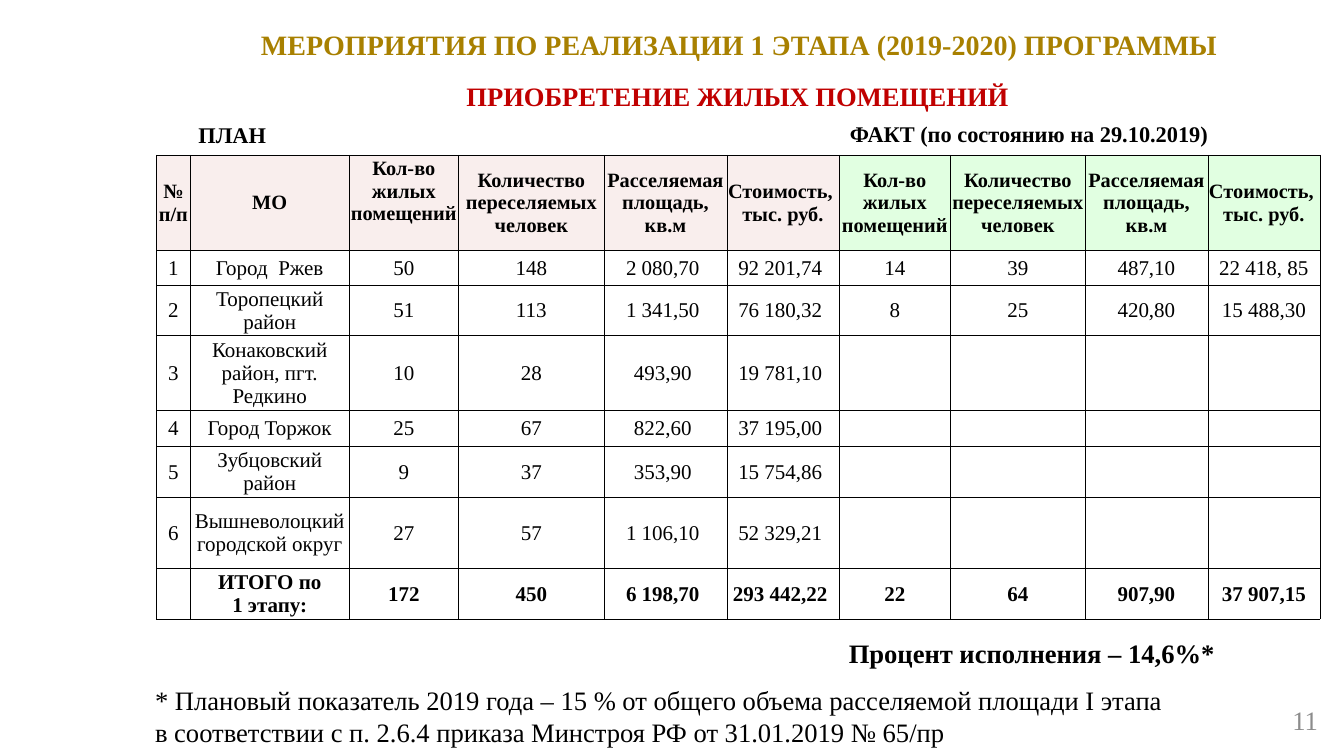
from dataclasses import dataclass

from lxml import etree
from pptx import Presentation
from pptx import util as u
from pptx.dml.color import RGBColor
from pptx.enum import text as t
from pptx.oxml import ns

WIDE, HIGH = 13.33, 7.5
FONT = "Times New Roman"
GOLD = RGBColor(0xA8, 0x80, 0x00)
RED = RGBColor(0xC0, 0x00, 0x00)
BLACK = RGBColor(0x00, 0x00, 0x00)
GREY = RGBColor(0x8C, 0x8C, 0x8C)
PINK = RGBColor(0xF9, 0xEE, 0xED)
GREEN = RGBColor(0xE1, 0xFF, 0xE1)
WHITE = RGBColor(0xFF, 0xFF, 0xFF)
LEFT, MID, RIGHT = t.PP_ALIGN.LEFT, t.PP_ALIGN.CENTER, t.PP_ALIGN.RIGHT
TOP, CORE = t.MSO_ANCHOR.TOP, t.MSO_ANCHOR.MIDDLE


@dataclass
class Label:
    """A text box; place and size are percent of the slide."""
    text: str
    x: float
    y: float
    w: float
    h: float
    size: float
    color: RGBColor = BLACK
    bold: bool = True
    align: t.PP_ALIGN = LEFT
    anchor: t.MSO_ANCHOR = TOP
    pads: tuple[float, float] = (0.05, 0.05)
    pitch: float = 1.0


LABELS = [
    Label("МЕРОПРИЯТИЯ ПО РЕАЛИЗАЦИИ 1 ЭТАПА (2019-2020) ПРОГРАММЫ",
          11.18, 3.2, 87.62, 6.4, 20, GOLD, align=MID, anchor=CORE,
          pads=(0, 0.04), pitch=0.9),
    Label("ПРИОБРЕТЕНИЕ ЖИЛЫХ ПОМЕЩЕНИЙ", 21.53, 9.87, 66.69, 5.6, 19, RED, align=MID),
    Label("ПЛАН", 14.03, 15.33, 9.3, 4.93, 16),
    Label("ФАКТ (по состоянию на 29.10.2019)", 62.49, 15.2, 31.81, 4.93, 16),
    Label("Процент исполнения – 14,6%*", 62.42, 83.6, 34.06, 5.6, 19),
    Label("11", 75.77, 93.2, 23.03, 4.13, 19, GREY, False, RIGHT, CORE),
    Label("* Плановый показатель 2019 года – 15 % от общего объема расселяемой площади I этапа\n"
          "в соответствии с п. 2.6.4 приказа Минстроя РФ от 31.01.2019 № 65/пр",
          10.8, 89.87, 81.85, 10.13, 19, bold=False),
]

# Table: column and row sizes in percent of the slide
COLS = [2.55, 11.78, 8.18, 10.8, 9.15, 8.33, 8.33, 9.98, 9.15, 8.33]
ROWS = [12.53, 4.67, 6.67, 9.87, 4.8, 6.67, 9.47, 6.67]
PLAN = 6
HEADS = ["Кол-во жилых помещений", "Количество переселяемых человек",
         "Расселяемая площадь, кв.м", "Стоимость, \nтыс. руб."]
CELLS = [
    ["№ п/п", "МО", *HEADS, *HEADS],
    ["1", "Город  Ржев", "50", "148", "2 080,70 ", "92 201,74 ",
     "14", "39", "487,10", "22 418, 85"],
    ["2", "Торопецкий район", "51", "113", "1 341,50 ", "76 180,32 ",
     "8", "25", "420,80", "15 488,30"],
    ["3", "Конаковский район, пгт. Редкино", "10", "28", "493,90 ", "19 781,10 "],
    ["4", "Город Торжок", "25", "67", "822,60 ", "37 195,00 "],
    ["5", "Зубцовский район", "9", "37", "353,90 ", "15 754,86 "],
    ["6", "Вышневолоцкий городской округ", "27", "57", "1 106,10 ", "52 329,21 "],
    ["", "ИТОГО по\n1 этапу:", "172", "450", "6 198,70 ", "293 442,22 ",
     "22", "64", "907,90", "37 907,15"],
]


def across(share: float) -> int:
    return u.Inches(WIDE * share / 100)


def down(share: float) -> int:
    return u.Inches(HIGH * share / 100)


def write(frame, words: str, size: float, color: RGBColor, bold: bool,
          align: t.PP_ALIGN, pitch: float = 1.0) -> None:
    for i, line in enumerate(words.split("\n")):
        para = frame.add_paragraph() if i else frame.paragraphs[0]
        para.alignment = align
        para.line_spacing = pitch
        run = para.add_run()
        run.text = line
        font = run.font
        font.name, font.size, font.bold = FONT, u.Pt(size), bold
        font.color.rgb = color


def draw_label(slide, item: Label) -> None:
    box = slide.shapes.add_textbox(across(item.x), down(item.y),
                                   across(item.w), down(item.h))
    frame = box.text_frame
    frame.word_wrap = True
    frame.vertical_anchor = item.anchor
    frame.margin_top, frame.margin_bottom = map(u.Inches, item.pads)
    write(frame, item.text, item.size, item.color, item.bold, item.align, item.pitch)


def edge(cell) -> None:
    props = cell._tc.get_or_add_tcPr()
    for i, side in enumerate(("lnL", "lnR", "lnT", "lnB")):
        line = etree.Element(ns.qn(f"a:{side}"), w=str(u.Pt(0.5)))
        fill = etree.SubElement(line, ns.qn("a:solidFill"))
        etree.SubElement(fill, ns.qn("a:srgbClr"), val=str(BLACK))
        props.insert(i, line)


def draw_table(slide) -> None:
    grid = slide.shapes.add_table(len(ROWS), len(COLS), across(11.63), down(20.53),
                                  across(sum(COLS)), down(sum(ROWS))).table
    grid.first_row = grid.horz_banding = False
    for col, share in zip(grid.columns, COLS):
        col.width = across(share)
    for row, share in zip(grid.rows, ROWS):
        row.height = down(share)
    for r in range(len(ROWS)):
        for c in range(len(COLS)):
            cell = grid.cell(r, c)
            cell.margin_left = cell.margin_right = cell.margin_top = u.Inches(0.01)
            cell.margin_bottom = 0
            cell.vertical_anchor = CORE
            edge(cell)
            cell.fill.solid()
            tint = PINK if c < PLAN else GREEN
            cell.fill.fore_color.rgb = WHITE if r else tint
            words = CELLS[r][c] if c < len(CELLS[r]) else ""
            if words:
                write(cell.text_frame, words, 15 if r else 14.5, BLACK,
                      r in (0, len(ROWS) - 1), MID)
    # The first count heading sits half a line higher
    grid.cell(0, 2).margin_bottom = u.Inches(0.23)


def main() -> None:
    deck = Presentation()
    deck.slide_width, deck.slide_height = u.Inches(WIDE), u.Inches(HIGH)
    slide = deck.slides.add_slide(deck.slide_layouts[6])
    draw_table(slide)
    for item in LABELS:
        draw_label(slide, item)
    deck.save("out.pptx")


if __name__ == "__main__":
    main()
